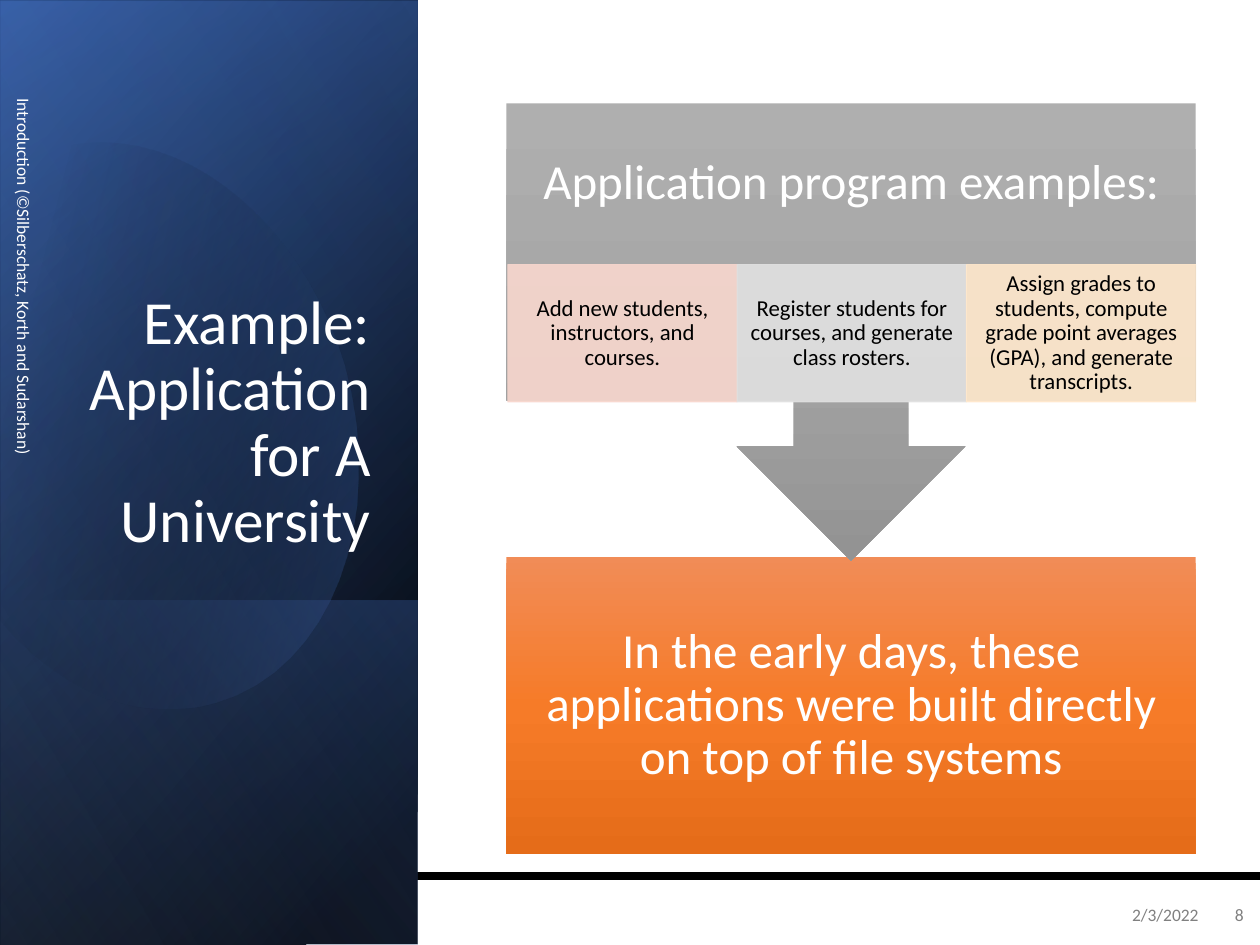
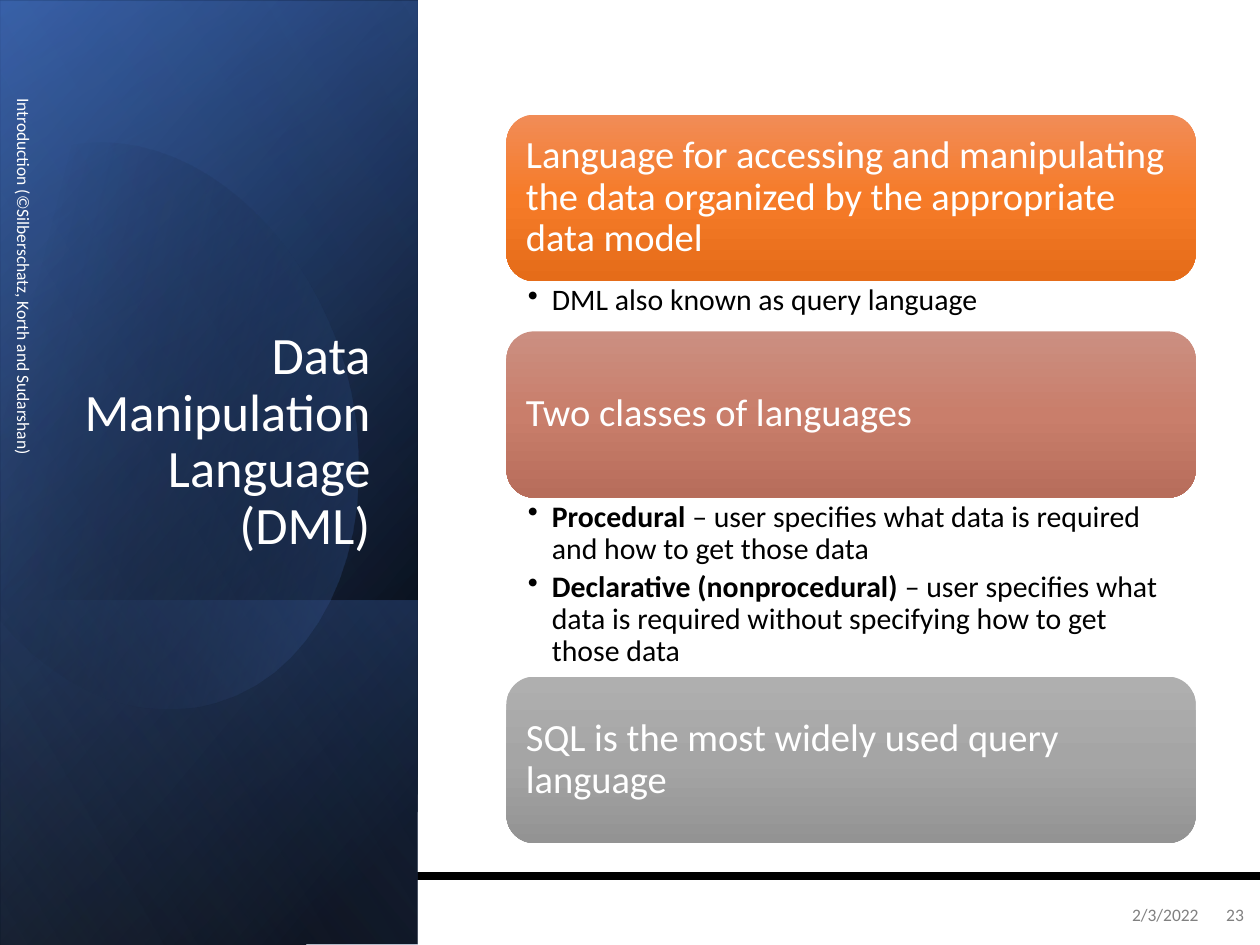
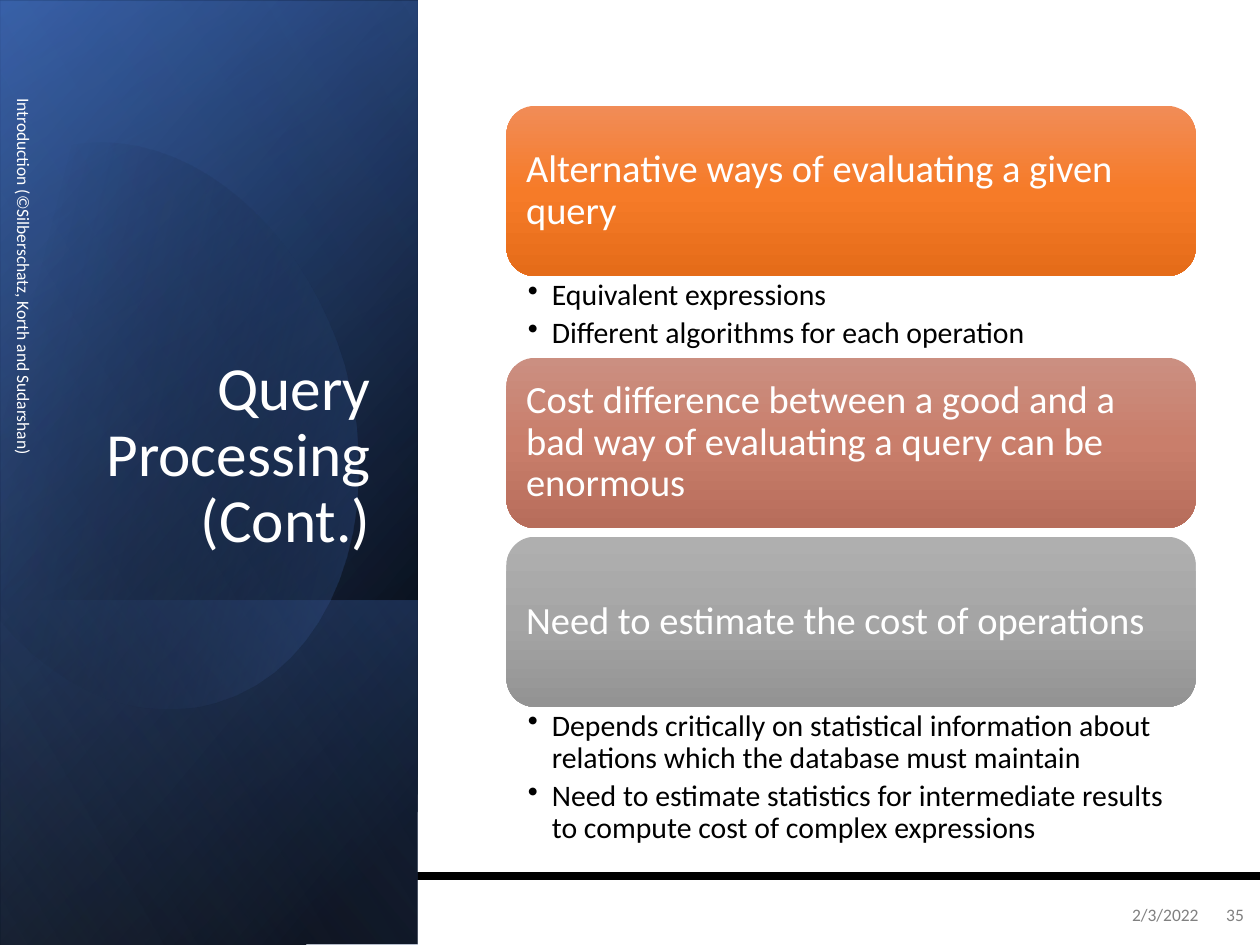
from dataclasses import dataclass
from math import cos, radians, sin

from pptx import Presentation
from pptx.dml.color import RGBColor
from pptx.enum.shapes import MSO_CONNECTOR, MSO_SHAPE
from pptx.enum.text import MSO_ANCHOR, PP_ALIGN
from pptx.oxml import parse_xml
from pptx.oxml.ns import nsdecls, qn
from pptx.util import Inches, Pt

COLOURS = {
    "white": "FFFFFF", "black": "000000", "footer": "808080",
    "navy": "2F5597", "blue": "4472C4", "pale blue": "8FAADC",
    "pale rose": "F8D7CE", "pale grey": "E1E1E1", "pale orange": "FFE8CC",
}
FONT = "Calibri"
CREDIT = "Introduction (©Silberschatz, Korth and Sudarshan)"
DATE = "2/3/2022"
CONTENT_LEFT, CONTENT_WIDTH = 4.02, 5.47
DEFAULT_INSETS = (0.1, 0.05, 0.1, 0.05)


@dataclass(frozen=True)
class Stop:
    position: int
    colour: str
    opacity: int = 100


def card_stops(light: str, middle: str, dark: str) -> list[Stop]:
    return [Stop(0, light), Stop(50, middle), Stop(100, dark)]


CARD_FILLS = {
    "orange": card_stops("F18C57", "F67B28", "E56C19"),
    "rose": card_stops("CB8F81", "C97E6B", "B76D5B"),
    "grey": card_stops("AFAFAF", "A5A5A5", "939393"),
}


@dataclass(frozen=True)
class Panel:
    left: float
    top: float
    width: float
    height: float
    stops: list[Stop]
    angle: int


LOWER_PANELS = [
    Panel(-2.09, 2.09, 7.5, 3.31, [Stop(8, COLOURS["black"]), Stop(100, COLOURS["navy"])], 50),
    Panel(-2.09, 2.11, 7.5, 3.31, [Stop(0, COLOURS["black"], 0), Stop(99, COLOURS["blue"], 46)], 30),
    Panel(0.29, 4.48, 2.74, 3.31, [Stop(2, COLOURS["blue"], 29), Stop(100, COLOURS["black"], 30)], 130),
]
TOP_PANEL = Panel(-2.09, 2.09, 7.5, 3.31,
                  [Stop(0, COLOURS["black"], 0), Stop(99, COLOURS["pale blue"], 11)], 120)

# Each segment holds one end point, or two control points and an end point.
GLOW_START = (0.96, 1.14)
GLOW_SEGMENTS = [
    [(1.71, 1.22), (2.44, 1.92), (2.73, 2.9)],
    [(3.07, 4.12), (2.62, 5.31), (1.71, 5.57)],
    [(1.14, 5.74), (0.53, 5.5), (0.07, 5)],
    [(-0.03, 4.88)],
    [(-0.25, 1.66)],
    [(-0.15, 1.54)],
    [(0.02, 1.37), (0.22, 1.25), (0.45, 1.18)],
    [(0.62, 1.13), (0.79, 1.12), (0.96, 1.14)],
]
GLOW_CENTRE = (1.19, 3.35)
GLOW_ROTATION = 343.9
GLOW_STOPS = [Stop(29, COLOURS["black"], 0), Stop(100, COLOURS["blue"], 43)]


@dataclass(frozen=True)
class Line:
    text: str
    bold_lead: str = ""


@dataclass(frozen=True)
class Section:
    heading: str
    fill: str
    bullets: tuple[Line, ...] = ()
    gap: float = 0.0  # height of the band below the card, which holds the bullets


@dataclass(frozen=True)
class SectionPage:
    title: str
    title_size: int
    number: int
    top: float
    card_height: float
    sections: list[Section]


SECTION_PAGES = [
    SectionPage("Data Manipulation Language (DML)", 30, 23, 0.91, 1.32, [
        Section("Language for accessing and manipulating the data organized by the "
                "appropriate data model", "orange",
                (Line("DML also known as query language"),), 0.4),
        Section("Two classes of languages", "rose", (
            Line("– user specifies what data is required and how to get those data",
                 "Procedural "),
            Line("– user specifies what data is required without specifying how to get "
                 "those data", "Declarative (nonprocedural) "),
        ), 1.42),
        Section("SQL is the most widely used query language", "grey"),
    ]),
    SectionPage("Query Processing (Cont.)", 35, 35, 0.84, 1.35, [
        Section("Alternative ways of evaluating a given query", "orange", (
            Line("Equivalent expressions"),
            Line("Different algorithms for each operation"),
        ), 0.65),
        Section("Cost difference between a good and a bad way of evaluating a query "
                "can be enormous", "rose", gap=0.07),
        Section("Need to estimate the cost of operations", "grey", (
            Line("Depends critically on statistical information about relations which "
                 "the database must maintain"),
            Line("Need to estimate statistics for intermediate results to compute cost "
                 "of complex expressions"),
        ), 1.17),
    ]),
]

TASKS = [
    ("Add new students, instructors, and courses.", "pale rose"),
    ("Register students for courses, and generate class rosters.", "pale grey"),
    ("Assign grades to students, compute grade point averages (GPA), and generate "
     "transcripts.", "pale orange"),
]


def write(box, *lines: Line, size: float, colour: str = "white", align=PP_ALIGN.LEFT,
          anchor=MSO_ANCHOR.MIDDLE, insets=DEFAULT_INSETS, line_spacing: float = 1.0,
          space_after: float = 0, bulleted: bool = False) -> None:
    frame = box.text_frame
    frame.word_wrap = True
    frame.vertical_anchor = anchor
    (frame.margin_left, frame.margin_top,
     frame.margin_right, frame.margin_bottom) = map(Inches, insets)
    for index, line in enumerate(lines):
        para = frame.add_paragraph() if index else frame.paragraphs[0]
        para.alignment = align
        para.line_spacing = line_spacing
        para.space_after = Pt(space_after)
        if bulleted:
            add_bullet(para)
        for text, bold in ((line.bold_lead, True), (line.text, False)):
            if text:
                span = para.add_run()
                span.text = text
                span.font.name = FONT
                span.font.size = Pt(size)
                span.font.bold = bold
                span.font.color.rgb = RGBColor.from_string(COLOURS[colour])


def add_bullet(para) -> None:
    para.level = 1
    properties = para._p.get_or_add_pPr()
    properties.set("marL", str(Inches(0.19)))
    properties.set("indent", str(Inches(-0.19)))
    properties.append(parse_xml(f'<a:buChar {nsdecls("a")} char="•"/>'))


def add_text(page, left: float, top: float, width: float, height: float, *lines: Line, **style):
    box = page.shapes.add_textbox(*map(Inches, (left, top, width, height)))
    write(box, *lines, **style)
    return box


def paint_gradient(shape, stops: list[Stop], angle: int) -> None:
    """Fill with a linear gradient, clockwise angle in degrees, and no outline."""
    shape.shadow.inherit = False
    shape.line.fill.background()
    shape.fill.background()
    entries = "".join(
        f'<a:gs pos="{stop.position * 1000}"><a:srgbClr val="{stop.colour}">'
        f'<a:alpha val="{stop.opacity * 1000}"/></a:srgbClr></a:gs>'
        for stop in stops
    )
    gradient = parse_xml(
        f'<a:gradFill {nsdecls("a")} rotWithShape="1"><a:gsLst>{entries}</a:gsLst>'
        f'<a:lin ang="{angle * 60000}" scaled="0"/></a:gradFill>'
    )
    properties = shape.element.spPr
    properties.replace(properties.find(qn("a:noFill")), gradient)


def paint_translucent(shape, colour: str, opacity: int) -> None:
    shape.shadow.inherit = False
    shape.line.width = Pt(0.5)
    for fill in (shape.fill, shape.line.fill):
        fill.solid()
        fill.fore_color.rgb = RGBColor.from_string(COLOURS[colour])
    for value in shape.element.spPr.iter(qn("a:srgbClr")):
        value.append(parse_xml(f'<a:alpha {nsdecls("a")} val="{opacity * 1000}"/>'))


def add_shape(page, kind, left: float, top: float, width: float, height: float):
    return page.shapes.add_shape(kind, *map(Inches, (left, top, width, height)))


def add_card(page, kind, top: float, height: float, fill: str):
    card = add_shape(page, kind, CONTENT_LEFT, top, CONTENT_WIDTH, height)
    paint_gradient(card, CARD_FILLS[fill], 90)
    return card


def add_panel(page, panel: Panel) -> None:
    shape = add_shape(page, MSO_SHAPE.RECTANGLE, panel.left, panel.top, panel.width, panel.height)
    shape.rotation = 90
    shape.element.spPr.xfrm.set("flipH", "1")
    paint_gradient(shape, panel.stops, panel.angle)


def curve_points(start, first, second, end, steps: int = 16) -> list[tuple[float, float]]:
    """Points along a cubic Bézier curve, without its start."""
    points = []
    for step in range(1, steps + 1):
        t = step / steps
        weights = ((1 - t) ** 3, 3 * t * (1 - t) ** 2, 3 * t * t * (1 - t), t ** 3)
        corners = (start, first, second, end)
        points.append(tuple(sum(w * corner[axis] for w, corner in zip(weights, corners))
                            for axis in (0, 1)))
    return points


def unrotate(point: tuple[float, float]) -> tuple[int, int]:
    """Turn a point back about the glow's centre, so that the shape can be rotated."""
    angle = radians(-GLOW_ROTATION)
    x, y = point[0] - GLOW_CENTRE[0], point[1] - GLOW_CENTRE[1]
    return (Inches(GLOW_CENTRE[0] + x * cos(angle) - y * sin(angle)),
            Inches(GLOW_CENTRE[1] + x * sin(angle) + y * cos(angle)))


def add_glow(page) -> None:
    outline = [GLOW_START]
    for segment in GLOW_SEGMENTS:
        outline += curve_points(outline[-1], *segment) if len(segment) == 3 else segment
    start, *rest = map(unrotate, outline)
    builder = page.shapes.build_freeform(*start)
    builder.add_line_segments(rest, close=True)
    glow = builder.convert_to_shape()
    glow.rotation = GLOW_ROTATION
    paint_gradient(glow, GLOW_STOPS, 30)


def add_rule(page) -> None:
    rule = page.shapes.add_connector(
        MSO_CONNECTOR.STRAIGHT, Inches(0), Inches(6.95), Inches(10), Inches(6.95))
    rule.line.width = Pt(4.5)
    rule.line.color.rgb = RGBColor.from_string(COLOURS["black"])
    rule.element.spPr.append(parse_xml(f'<a:effectLst {nsdecls("a")}/>'))


def add_page(deck, title: str, title_size: int, number: int):
    """Add a slide with the side band, title, credit and footer."""
    page = deck.slides.add_slide(deck.slide_layouts[6])
    add_rule(page)
    for panel in LOWER_PANELS:
        add_panel(page, panel)
    add_glow(page)
    add_panel(page, TOP_PANEL)
    add_text(page, 0.48, 1.84, 2.56, 2.62, Line(title), size=title_size,
             align=PP_ALIGN.RIGHT, anchor=MSO_ANCHOR.BOTTOM, line_spacing=0.9)
    credit = add_text(page, -1.5, 2.17, 3.38, 0.4, Line(CREDIT), size=10, space_after=6)
    credit.rotation = 90
    for left, width, text in ((7.36, 2.25, DATE), (9.6, 0.37, str(number))):
        add_text(page, left, 7.06, width, 0.4, Line(text), size=10, colour="footer",
                 align=PP_ALIGN.RIGHT, space_after=6)
    return page


def add_application_page(deck) -> None:
    page = add_page(deck, "Example: Application for A University", 35, 8)
    conclusion = add_card(page, MSO_SHAPE.RECTANGLE, 4.42, 2.36, "orange")
    write(conclusion, Line("In the early days, these applications were built directly on "
                           "top of file systems"),
          size=28, align=PP_ALIGN.CENTER, insets=(0.22,) * 4, line_spacing=0.9)
    # The bottom inset keeps the heading above the row of tasks.
    examples = add_card(page, MSO_SHAPE.DOWN_ARROW_CALLOUT, 0.82, 3.63, "grey")
    write(examples, Line("Application program examples:"), size=28, align=PP_ALIGN.CENTER,
          insets=(0.22, 0.22, 0.22, 1.3), line_spacing=0.9)
    task_width = 1.82
    for index, (text, colour) in enumerate(TASKS):
        task = add_shape(page, MSO_SHAPE.RECTANGLE, 4.03 + index * task_width, 2.1,
                         task_width, 1.09)
        paint_translucent(task, colour, 90)
        write(task, Line(text), size=13, colour="black", align=PP_ALIGN.CENTER,
              insets=(0.1, 0.02, 0.1, 0.02), line_spacing=0.9)


def add_section_page(deck, content: SectionPage) -> None:
    page = add_page(deck, content.title, content.title_size, content.number)
    top = content.top
    for section in content.sections:
        card = add_card(page, MSO_SHAPE.ROUNDED_RECTANGLE, top, content.card_height, section.fill)
        write(card, Line(section.heading), size=22, insets=(0.09,) * 4, line_spacing=0.9)
        top += content.card_height
        if section.bullets:
            add_text(page, CONTENT_LEFT, top, CONTENT_WIDTH, section.gap, *section.bullets,
                     size=17, colour="black", anchor=MSO_ANCHOR.TOP,
                     insets=(0.17, 0.03, 0.17, 0.03), line_spacing=0.9, space_after=3.4,
                     bulleted=True)
        top += section.gap


def main() -> None:
    deck = Presentation()
    deck.slide_width, deck.slide_height = Inches(10), Inches(7.5)
    add_application_page(deck)
    for content in SECTION_PAGES:
        add_section_page(deck, content)
    deck.save("out.pptx")


if __name__ == "__main__":
    main()
